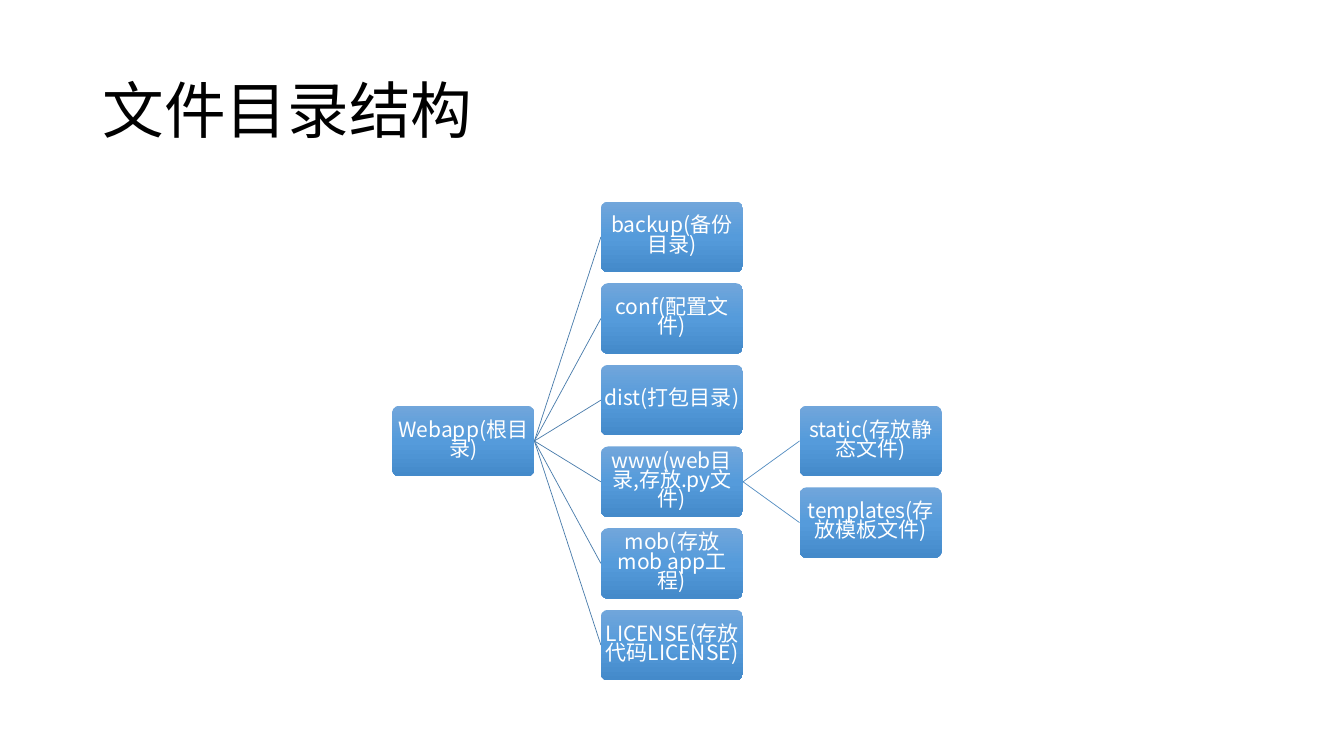
from copy import deepcopy

from lxml import etree
from pptx import Presentation
from pptx.dml.color import RGBColor
from pptx.enum import shapes, text
from pptx.oxml.ns import qn
from pptx.util import Inches, Pt

FONT = "Noto Sans CJK SC"
BOX_W, BOX_H = 1.41, 0.7
PITCH = 0.81
ROOT_X, FOLDER_X, WEB_X = 3.89, 5.96, 7.93
TOP = 2.0


def rgb(value):
    return RGBColor.from_string(value)


def write(sp, content, size, color, align, spacing, inset_x, inset_y):
    tf = sp.text_frame
    tf.word_wrap = True
    tf.vertical_anchor = text.MSO_ANCHOR.MIDDLE
    tf.margin_left = tf.margin_right = Inches(inset_x)
    tf.margin_top = tf.margin_bottom = Inches(inset_y)
    p = tf.paragraphs[0]
    p.alignment = align
    p.line_spacing = spacing
    r = p.add_run()
    r.text = content
    r.font.size = Pt(size)
    r.font.name = FONT
    r.font.color.rgb = rgb(color)
    ea = etree.SubElement(r.font._element, qn("a:ea"))
    ea.set("typeface", FONT)


class Deck:
    gradient = [(0, "71A6DB"), (0.5, "559BDB"), (1, "448ACA")]

    def __init__(self, prs):
        self.s = prs.slides.add_slide(prs.slide_layouts[6])

    def title(self, content):
        sp = self.s.shapes.add_textbox(
            Inches(0.92), Inches(0.4), Inches(11.5), Inches(1.45))
        write(sp, content, 44, "000000", text.PP_ALIGN.LEFT, 0.9, 0.1, 0.05)

    def box(self, content, x, y):
        sp = self.s.shapes.add_shape(
            shapes.MSO_SHAPE.ROUNDED_RECTANGLE,
            Inches(x), Inches(y), Inches(BOX_W), Inches(BOX_H))
        sp.adjustments[0] = 0.1
        sp.shadow.inherit = False
        sp.line.fill.background()
        sp.fill.gradient()
        sp.fill.gradient_angle = 270
        stops = sp.fill.gradient_stops
        first = stops[0]._gs
        first.addnext(deepcopy(first))
        for stop, (position, color) in zip(sp.fill.gradient_stops, self.gradient):
            stop.position = position
            stop.color.rgb = rgb(color)
        write(sp, content, 15, "FFFFFF", text.PP_ALIGN.CENTER, 0.76, 0.01, 0.01)

    def branch(self, x, y, child_x, child_y, color):
        line = self.s.shapes.add_connector(
            shapes.MSO_CONNECTOR.STRAIGHT,
            Inches(x + BOX_W), Inches(y + BOX_H / 2),
            Inches(child_x), Inches(child_y + BOX_H / 2))
        line.line.color.rgb = rgb(color)
        line.line.width = Pt(0.5)
        etree.SubElement(line._element.spPr, qn("a:effectLst"))

    def children(self, x, y, child_x, top, names, color):
        for i, name in enumerate(names):
            child_y = top + i * PITCH
            self.branch(x, y, child_x, child_y, color)
            self.box(name, child_x, child_y)


folders = [
    "backup(备份目录)",
    "conf(配置文件)",
    "dist(打包目录)",
    "www(web目录,存放.py文件)".replace(",", ","),
    "mob(存放mob app工程)",
    "LICENSE(存放代码LICENSE)",
]
web_folders = ["static(存放静态文件)", "templates(存放模板文件)"]

prs = Presentation()
prs.slide_width, prs.slide_height = Inches(13.33), Inches(7.5)
deck = Deck(prs)
deck.title("文件目录结构")

root_y = TOP + PITCH * (len(folders) - 1) / 2
www_y = TOP + PITCH * 3
deck.box("Webapp(根目录)", ROOT_X, root_y)
deck.children(ROOT_X, root_y, FOLDER_X, TOP, folders, "497CAB")
deck.children(FOLDER_X, www_y, WEB_X, www_y - PITCH / 2, web_folders, "538DC1")

prs.save("out.pptx")
